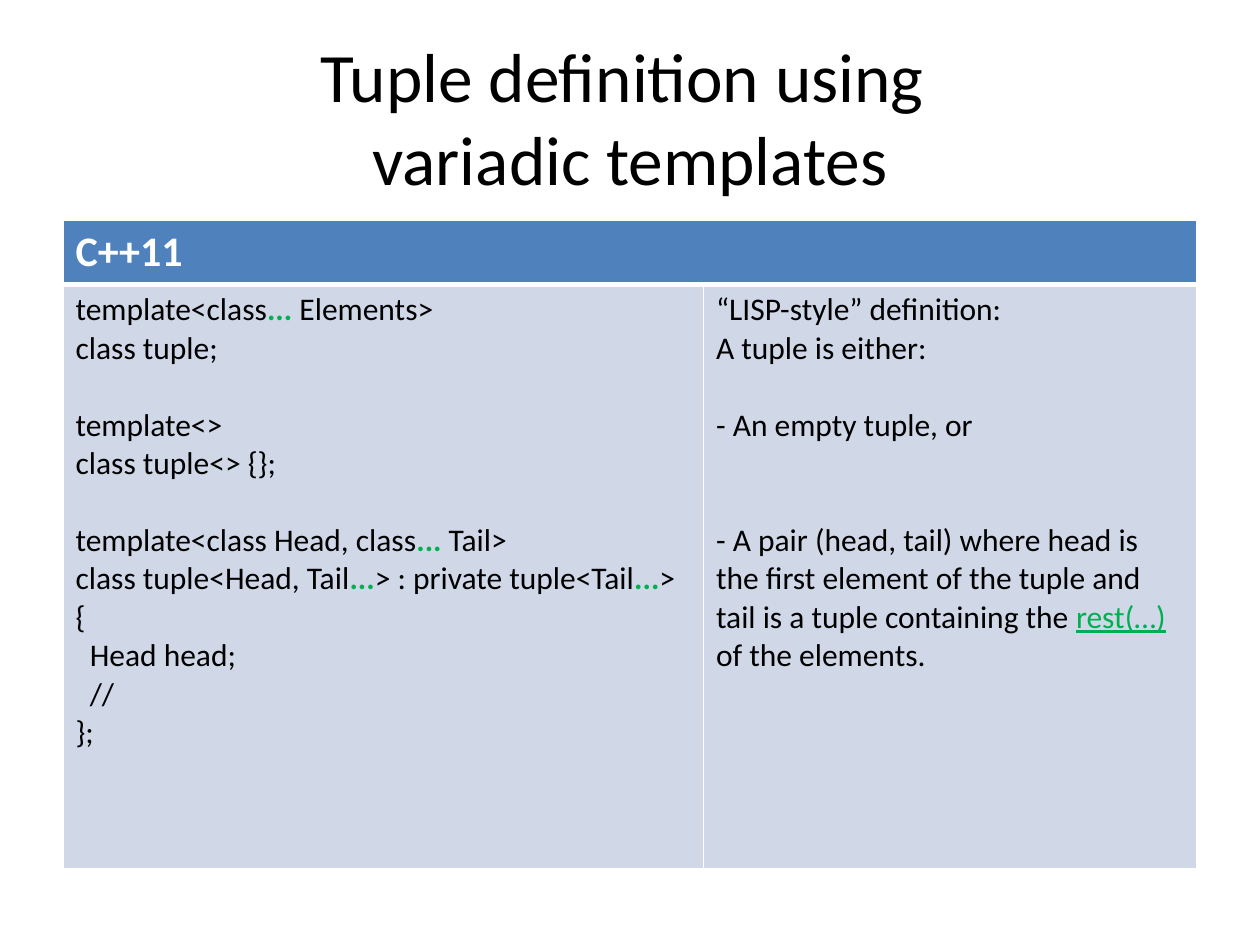
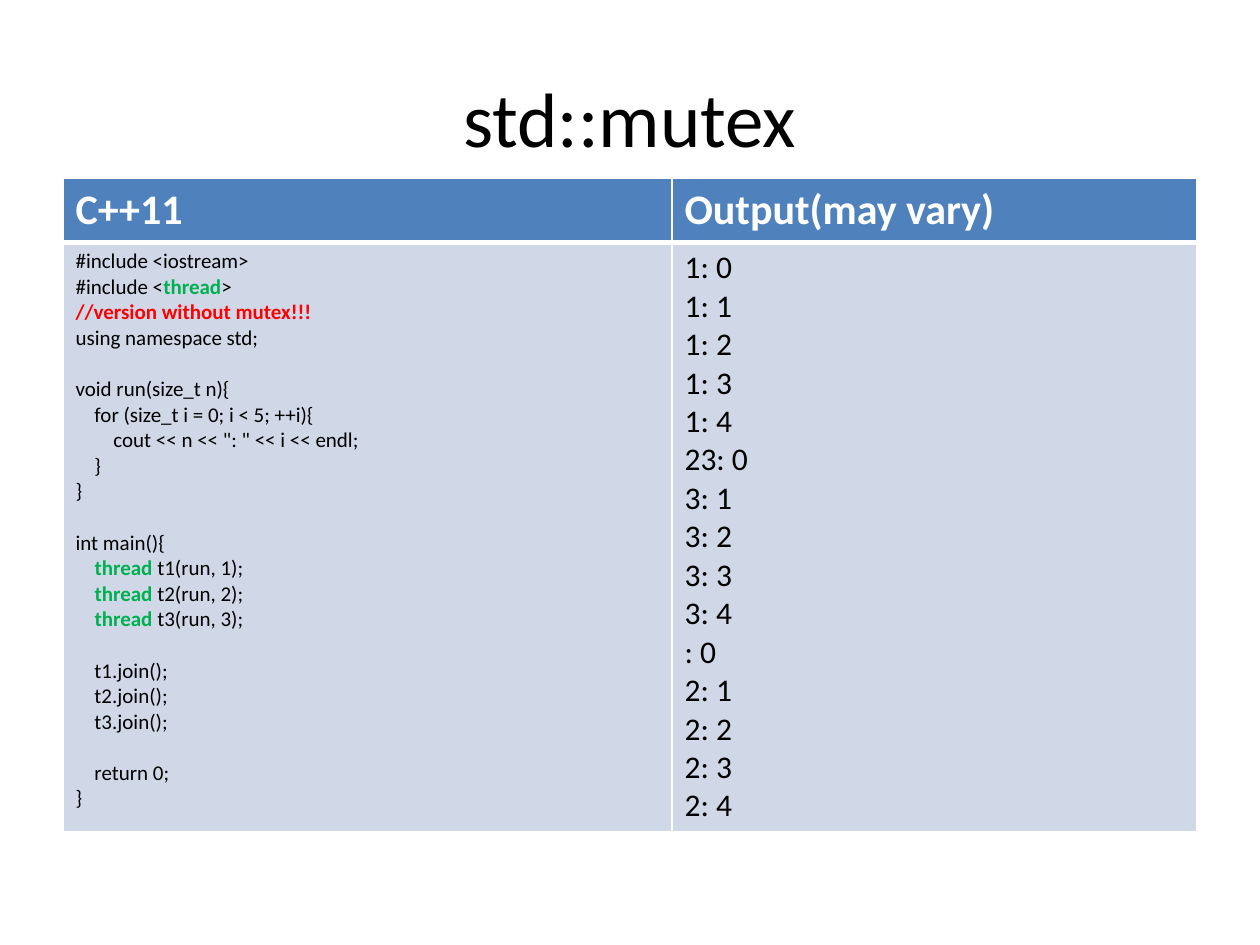
from dataclasses import dataclass

from lxml import etree
from pptx import Presentation
from pptx.dml.color import RGBColor
from pptx.enum.text import MSO_ANCHOR, MSO_AUTO_SIZE, PP_ALIGN
from pptx.oxml.ns import qn
from pptx.util import Inches, Pt

CENTER, MIDDLE, NO_FIT = PP_ALIGN.CENTER, MSO_ANCHOR.MIDDLE, MSO_AUTO_SIZE.NONE


@dataclass(frozen=True)
class Theme:
    font: str = "Calibri"
    ink: str = "000000"
    paper: str = "FFFFFF"
    header: str = "4F81BD"
    body: str = "D0D8E8"
    green: str = "00B050"
    red: str = "FF0000"
    title_size: float = 44
    long_title_size: float = 39.6
    header_size: float = 24
    text_size: float = 18
    code_size: float = 12
    line_height: float = 1.22


T = Theme()

# Marks around accented words: colour, bold, underline
ACCENTS = {
    "@": (T.green, True, False),
    "$": (T.red, True, False),
    "`": (T.green, False, True),
}

# Slide contents; an empty line becomes space before the next paragraph
TUPLE_CODE = """template<class@...@ Elements>
class tuple;

template<>
class tuple<> {};

template<class Head, class@...@ Tail>
class tuple<Head, Tail@...@> : private tuple<Tail@...@>
{
  Head head;
  //
};"""

TUPLE_NOTES = """“LISP-style” definition:
A tuple is either:

- An empty tuple, or


- A pair (head, tail) where head is the first element of the tuple and tail \
is a tuple containing the `rest(…)` of the elements."""

THREAD_CODE = """#include <iostream>
#include <@thread@>
$//version without mutex!!!$
using namespace std;

void run(size_t n){
    for (size_t i = 0; i < 5; ++i){
        cout << n << ": " << i << endl;
    }
}

int main(){
    @thread@ t1(run, 1);
    @thread@ t2(run, 2);
    @thread@ t3(run, 3);

    t1.join();
    t2.join();
    t3.join();

    return 0;
}"""

THREAD_OUTPUT = "\n".join(
    [f"1: {i}" for i in range(5)] + ["23: 0"]
    + [f"3: {i}" for i in range(1, 5)] + [": 0"]
    + [f"2: {i}" for i in range(1, 5)])

# Title, title size, table top and left column in grid units, headers, bodies
SLIDES = [
    ("Tuple definition using \vvariadic templates", T.long_title_size, 21, 61,
     ["C++11"],
     [(TUPLE_CODE, T.text_size), (TUPLE_NOTES, T.text_size)]),
    ("std::mutex", T.title_size, 17, 58,
     ["C++11", "Output(may vary)"],
     [(THREAD_CODE, T.code_size), (THREAD_OUTPUT, T.text_size)]),
]


def fill_cell(cell, text, size, color, bold):
    """Write the lines of a cell, with accents and gaps."""
    tf = cell.text_frame
    p, gap = tf.paragraphs[0], 0
    for i, line in enumerate(text.split("\n")):
        if not line:
            gap += 1
            continue
        if i:
            p = tf.add_paragraph()
        if gap:
            p.space_before = Pt(round(gap * size * T.line_height, 1))
            gap = 0
        p.font.name, p.font.size, p.font.bold = T.font, Pt(size), bold
        p.font.color.rgb = RGBColor.from_string(color)
        mark = next((m for m in ACCENTS if m in line), "\n")
        for n, piece in enumerate(line.split(mark)):
            if not piece:
                continue
            r = p.add_run()
            r.text = piece
            if n % 2:
                accent, r.font.bold, r.font.underline = ACCENTS[mark]
                r.font.color.rgb = RGBColor.from_string(accent)


def style_cell(cell, fill, bottom):
    """Fill a cell and draw its four borders."""
    cell.fill.solid()
    cell.fill.fore_color.rgb = RGBColor.from_string(fill)
    tcPr = cell._tc.get_or_add_tcPr()
    for i, (side, width) in enumerate(zip("LRTB", (1, 1, 1, bottom))):
        ln = etree.Element(qn(f"a:ln{side}"), w=str(Pt(width)))
        solid = etree.SubElement(ln, qn("a:solidFill"))
        etree.SubElement(solid, qn("a:srgbClr"), val=T.paper)
        tcPr.insert(i, ln)


prs = Presentation()
prs.slide_width, prs.slide_height = Inches(10), Inches(7.5)

# Grid of 120 by 90 square units
U = prs.slide_width // 120
LEFT, WIDTH = 6 * U, 108 * U
ROWS = [6 * U, int(55.7 * U)]

for title, title_size, top, split, headers, bodies in SLIDES:
    s = prs.slides.add_slide(prs.slide_layouts[5])

    # Title
    sp = s.shapes.title
    sp.left, sp.top, sp.width, sp.height = LEFT, int(3.6 * U), WIDTH, 15 * U
    tf = sp.text_frame
    tf.text = title
    tf.auto_size, tf.vertical_anchor = NO_FIT, MIDDLE
    p = tf.paragraphs[0]
    p.alignment = CENTER
    p.font.name, p.font.size = T.font, Pt(title_size)
    p.font.color.rgb = RGBColor.from_string(T.ink)

    # Table
    table = s.shapes.add_table(2, 2, LEFT, top * U, WIDTH, sum(ROWS)).table
    table.horz_banding = False
    table.columns[0].width, table.columns[1].width = split * U, WIDTH - split * U
    for row, height in zip(table.rows, ROWS):
        row.height = height
    for c in range(2):
        style_cell(table.cell(0, c), T.header, 3)
        style_cell(table.cell(1, c), T.body, 1)
    if len(headers) == 1:
        table.cell(0, 0).merge(table.cell(0, 1))
    for c, text in enumerate(headers):
        fill_cell(table.cell(0, c), text, T.header_size, T.paper, True)
    for c, (text, size) in enumerate(bodies):
        fill_cell(table.cell(1, c), text, size, T.ink, False)

prs.save("out.pptx")
